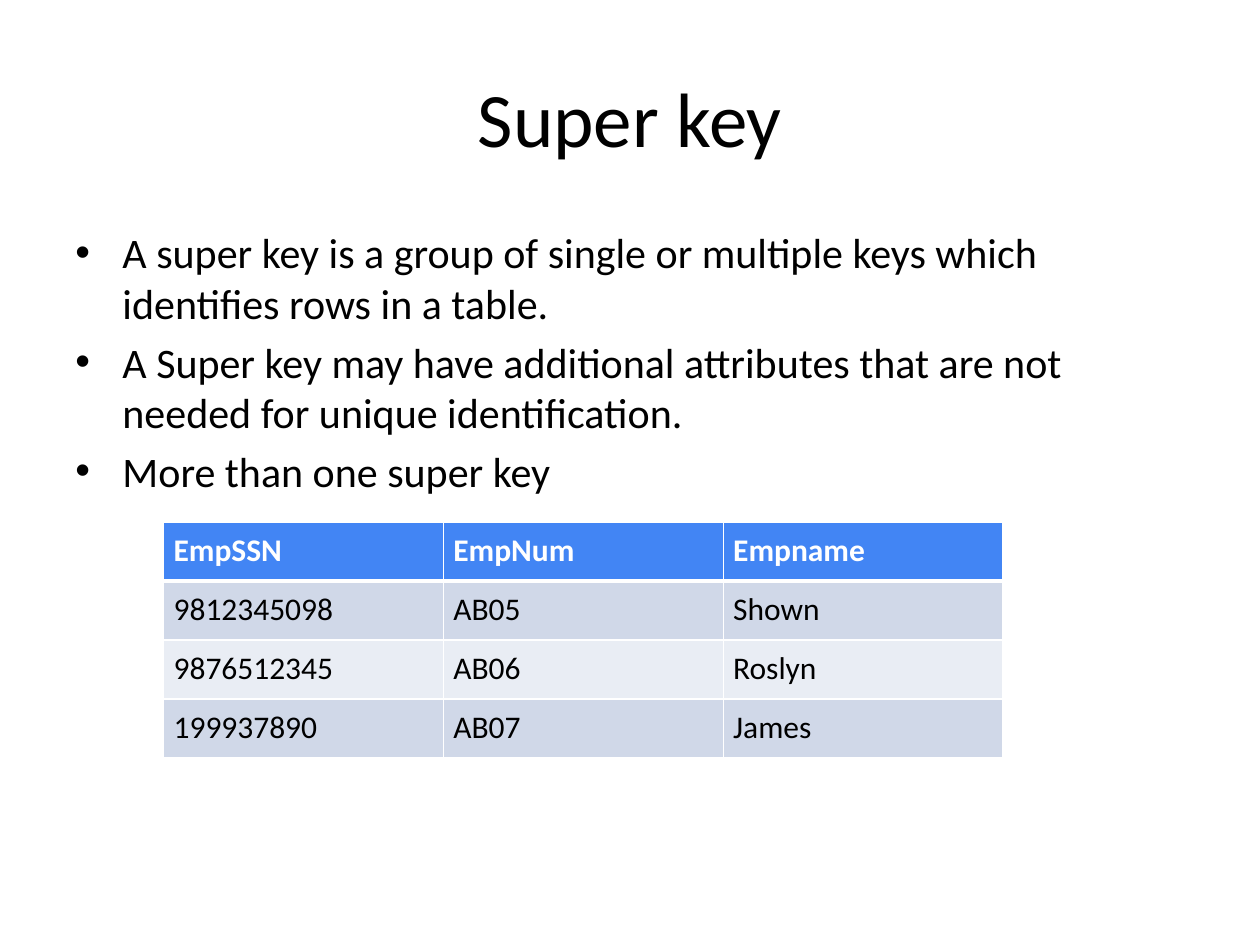
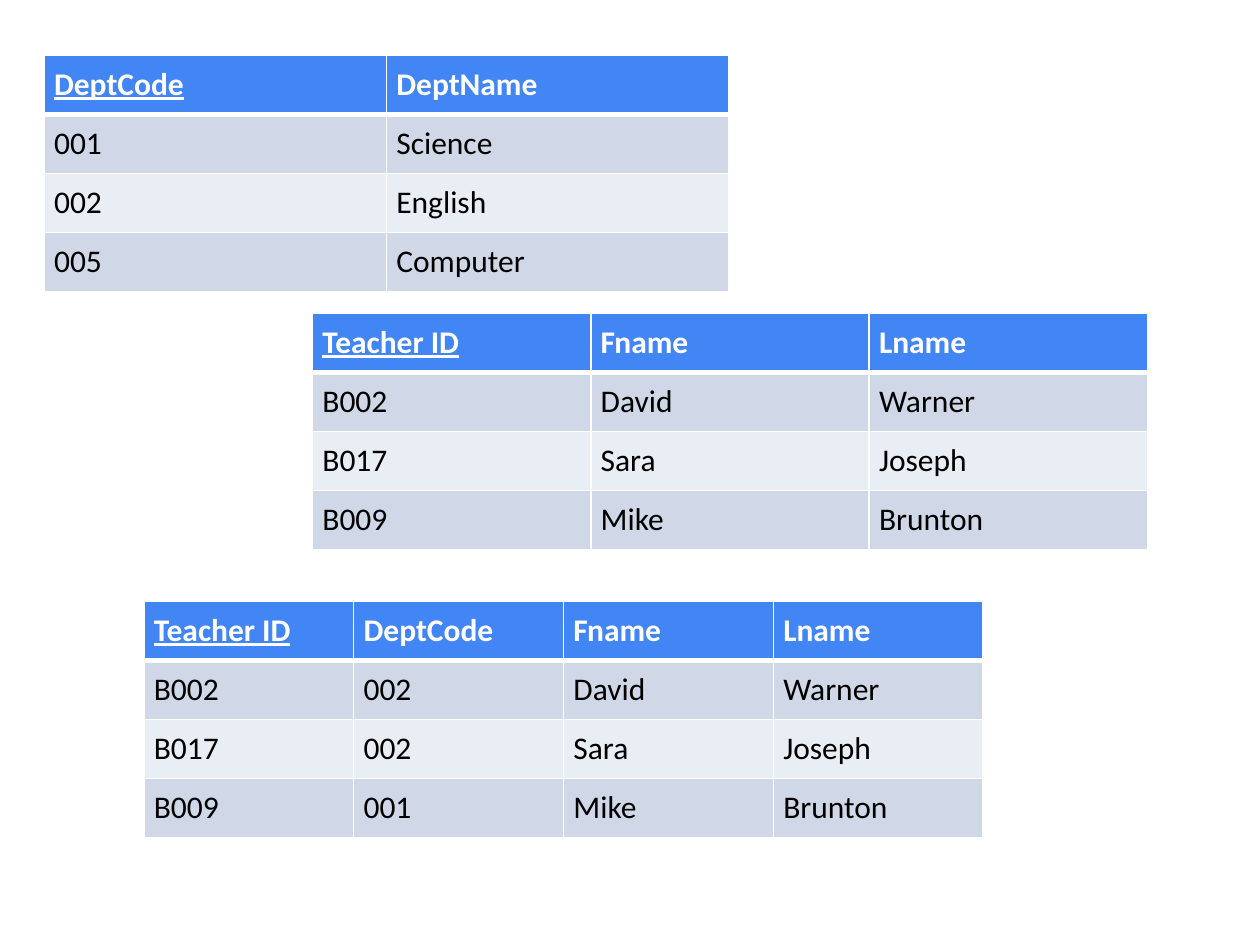
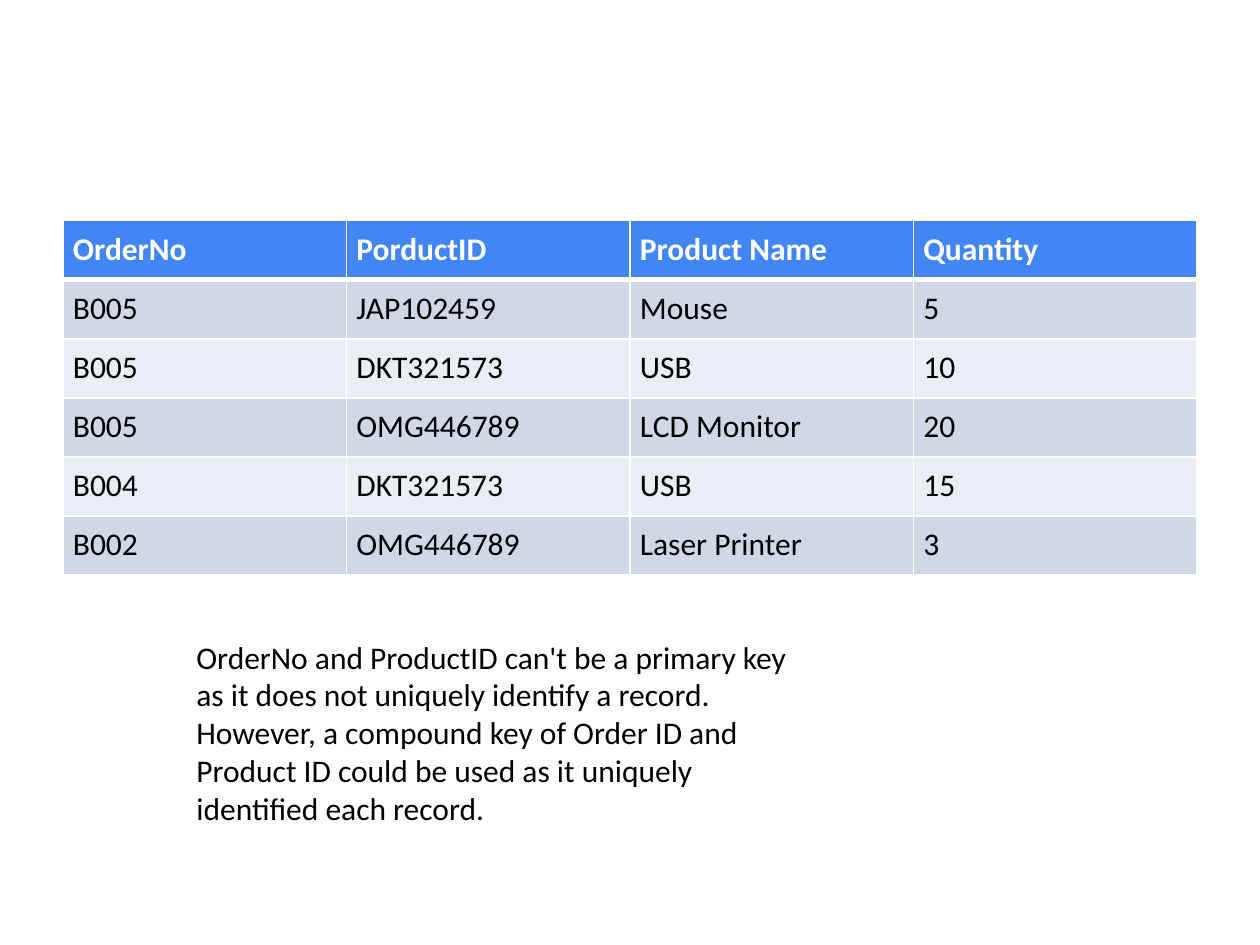
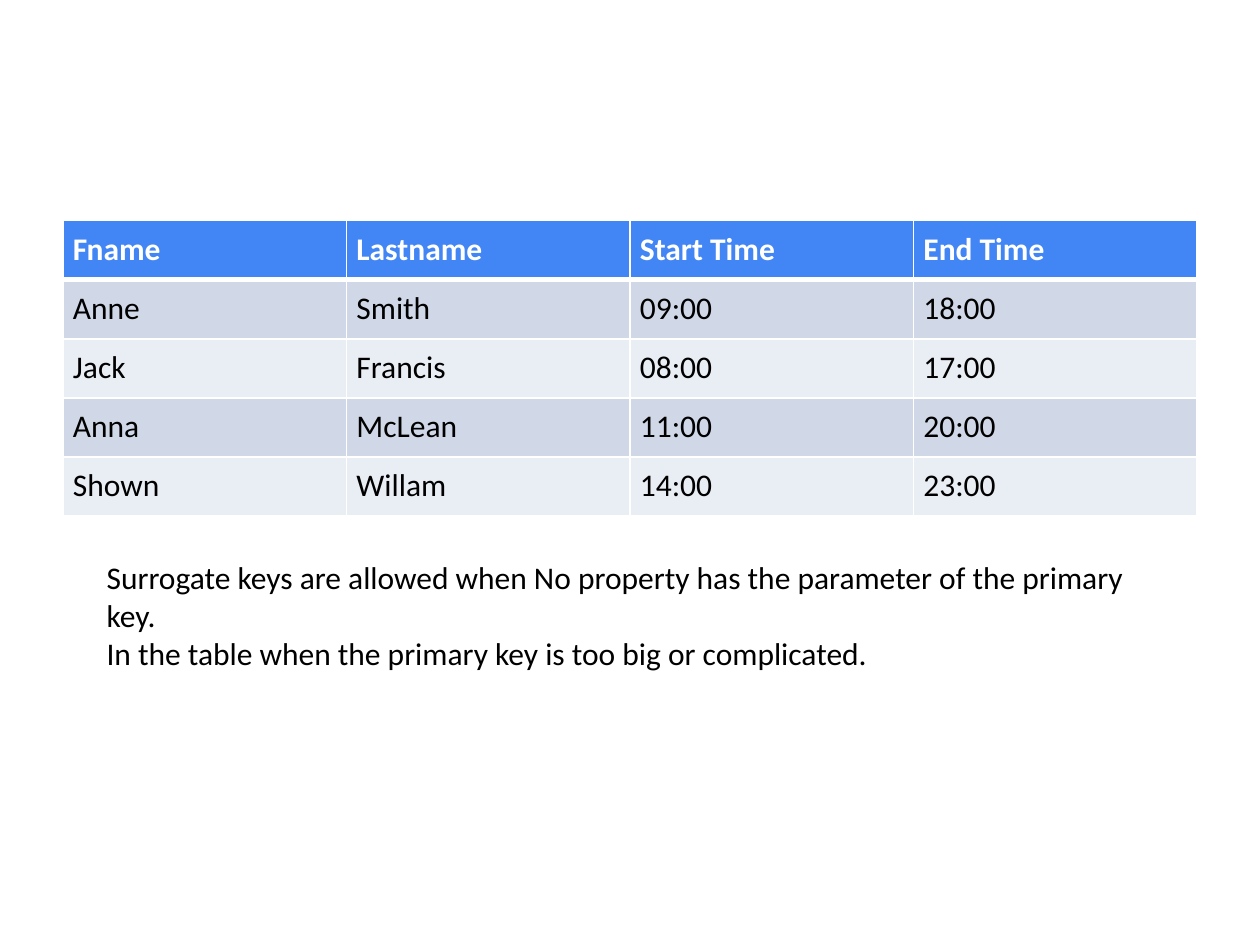
from lxml import etree
from pptx import Presentation
from pptx.dml.color import RGBColor
from pptx.enum.text import MSO_ANCHOR, MSO_AUTO_SIZE, PP_ALIGN
from pptx.oxml.ns import qn
from pptx.util import Cm, Pt

CENTER = PP_ALIGN.CENTER
TOP, MIDDLE = MSO_ANCHOR.TOP, MSO_ANCHOR.MIDDLE
NO_FIT, GROW = MSO_AUTO_SIZE.NONE, MSO_AUTO_SIZE.SHAPE_TO_FIT_TEXT

COLORS = {
    "text": "000000",
    "header_text": "FFFFFF",
    "header": "4285F4",
    "odd_row": "D0D8E8",
    "even_row": "E9EDF4",
    "border": "FFFFFF",
}
FONT = "Calibri"
BLANK_LAYOUT = 6
MARGIN = 1.27
CONTENT_TOP = 4.45
CONTENT_WIDTH = 22.86
ROW_HEIGHT = 1.19
CELL_INSET = Cm(0.2)
BULLET_INDENT = Cm(0.95)

TITLE = {"size": Pt(44)}
BODY = {"size": Pt(24)}
NOTE = {"size": Pt(18)}
CELL = {"size": Pt(18), "bold": False}
HEADER_CELL = {"size": Pt(18), "bold": True}


def add_span(para, text, formats, color="text"):
    span = para.add_run()
    span.text = text
    span.font.name = FONT
    span.font.color.rgb = RGBColor.from_string(COLORS[color])
    for name, value in formats.items():
        setattr(span.font, name, value)


def add_bullet(para):
    properties = para._p.get_or_add_pPr()
    properties.set("marL", str(BULLET_INDENT))
    properties.set("indent", str(-BULLET_INDENT))
    bullet_color = etree.SubElement(properties, qn("a:buClr"))
    etree.SubElement(bullet_color, qn("a:srgbClr"), val=COLORS["text"])
    etree.SubElement(properties, qn("a:buFont"), typeface="Arial")
    etree.SubElement(properties, qn("a:buChar"), char="•")


def add_text(page, area, lines, formats, frame_formats, bulleted=False, alignment=None):
    """Add a text box with one paragraph per line; area is left, top, width, height in cm."""
    frame = page.shapes.add_textbox(*map(Cm, area)).text_frame
    frame.word_wrap = True
    for name, value in frame_formats.items():
        setattr(frame, name, value)
    for index, line in enumerate(lines):
        para = frame.paragraphs[0] if index == 0 else frame.add_paragraph()
        para.alignment = alignment
        if bulleted:
            add_bullet(para)
            if index:
                para.space_before = Pt(4.8)
        add_span(para, line, formats)


def add_title(page, text):
    add_text(page, (MARGIN, 0.76, CONTENT_WIDTH, 3.18), [text], TITLE,
             {"vertical_anchor": MIDDLE, "auto_size": NO_FIT}, alignment=CENTER)


def add_bullets(page, lines):
    add_text(page, (MARGIN, CONTENT_TOP, CONTENT_WIDTH, 12.57), lines, BODY,
             {"vertical_anchor": TOP, "auto_size": NO_FIT}, bulleted=True)


def add_note(page, area, lines):
    add_text(page, area, lines, NOTE, {"auto_size": GROW})


def set_borders(cell, row_index):
    """Draw thin borders, with a thick one between header and first data row."""
    widths = {
        "a:lnL": 1,
        "a:lnR": 1,
        "a:lnT": 3 if row_index == 1 else 1,
        "a:lnB": 3 if row_index == 0 else 1,
    }
    properties = cell._tc.get_or_add_tcPr()
    for tag, width in widths.items():
        line = etree.SubElement(properties, qn(tag), w=str(Pt(width)))
        fill = etree.SubElement(line, qn("a:solidFill"))
        etree.SubElement(fill, qn("a:srgbClr"), val=COLORS["border"])


def fill_cell(cell, text, row_index, underlined):
    is_header = row_index == 0
    for side in ("left", "top", "right", "bottom"):
        setattr(cell, f"margin_{side}", CELL_INSET)
    set_borders(cell, row_index)
    cell.fill.solid()
    fill = "header" if is_header else "odd_row" if row_index % 2 else "even_row"
    cell.fill.fore_color.rgb = RGBColor.from_string(COLORS[fill])
    formats = HEADER_CELL if is_header else CELL
    add_span(cell.text_frame.paragraphs[0], text, {**formats, "underline": underlined},
             "header_text" if is_header else "text")


def add_data_table(page, left, top, column_width, rows, key_underlined=False):
    """Add a table whose first row is the header; the key is its first column."""
    columns = len(rows[0])
    table = page.shapes.add_table(
        len(rows), columns, Cm(left), Cm(top),
        Cm(column_width * columns), Cm(ROW_HEIGHT * len(rows))).table
    table.first_row = table.horz_banding = False
    for column in table.columns:
        column.width = Cm(column_width)
    for row_index, values in enumerate(rows):
        table.rows[row_index].height = Cm(ROW_HEIGHT)
        for column_index, value in enumerate(values):
            underlined = key_underlined and row_index == column_index == 0
            fill_cell(table.cell(row_index, column_index), value, row_index, underlined)


def add_super_key(page):
    add_title(page, "Super key")
    add_bullets(page, [
        "A super key is a group of single or multiple keys which identifies rows in a table.",
        "A Super key may have additional attributes that are not needed for unique identification.",
        "More than one super key",
    ])
    add_data_table(page, 3.3, 10.52, 5.64, [
        ("EmpSSN", "EmpNum", "Empname"),
        ("9812345098", "AB05", "Shown"),
        ("9876512345", "AB06", "Roslyn"),
        ("199937890", "AB07", "James"),
    ])


def add_foreign_key(page):
    add_data_table(page, 0.89, 1.12, 6.9, [
        ("DeptCode", "DeptName"),
        ("001", "Science"),
        ("002", "English"),
        ("005", "Computer"),
    ], key_underlined=True)
    teachers = [
        ("Teacher ID", "Fname", "Lname"),
        ("B002", "David", "Warner"),
        ("B017", "Sara", "Joseph"),
        ("B009", "Mike", "Brunton"),
    ]
    add_data_table(page, 6.3, 6.32, 5.61, teachers, key_underlined=True)
    departments = ("DeptCode", "002", "002", "001")
    linked = [(teacher[0], department, *teacher[1:])
              for teacher, department in zip(teachers, departments)]
    add_data_table(page, 2.9, 12.12, 4.23, linked, key_underlined=True)


def add_compound_key(page):
    add_data_table(page, MARGIN, CONTENT_TOP, CONTENT_WIDTH / 4, [
        ("OrderNo", "PorductID", "Product Name", "Quantity"),
        ("B005", "JAP102459", "Mouse", "5"),
        ("B005", "DKT321573", "USB", "10"),
        ("B005", "OMG446789", "LCD Monitor", "20"),
        ("B004", "DKT321573", "USB", "15"),
        ("B002", "OMG446789", "Laser Printer", "3"),
    ])
    add_note(page, (3.71, 12.73, 12.7, 4.09), [
        "OrderNo and ProductID can't be a primary key as it does not uniquely identify "
        "a record. However, a compound key of Order ID and Product ID could be used "
        "as it uniquely identified each record.",
    ])


def add_surrogate_key(page):
    add_data_table(page, MARGIN, CONTENT_TOP, CONTENT_WIDTH / 4, [
        ("Fname", "Lastname", "Start Time", "End Time"),
        ("Anne", "Smith", "09:00", "18:00"),
        ("Jack", "Francis", "08:00", "17:00"),
        ("Anna", "McLean", "11:00", "20:00"),
        ("Shown", "Willam", "14:00", "23:00"),
    ])
    add_note(page, (1.9, 11.13, 21.59, 2.57), [
        "Surrogate keys are allowed when No property has the parameter of the primary key.",
        "In the table when the primary key is too big or complicated.",
    ])


def main():
    deck = Presentation()
    deck.slide_width, deck.slide_height = Cm(25.4), Cm(19.05)
    for add_content in (add_super_key, add_foreign_key, add_compound_key, add_surrogate_key):
        add_content(deck.slides.add_slide(deck.slide_layouts[BLANK_LAYOUT]))
    deck.save("out.pptx")


if __name__ == "__main__":
    main()
